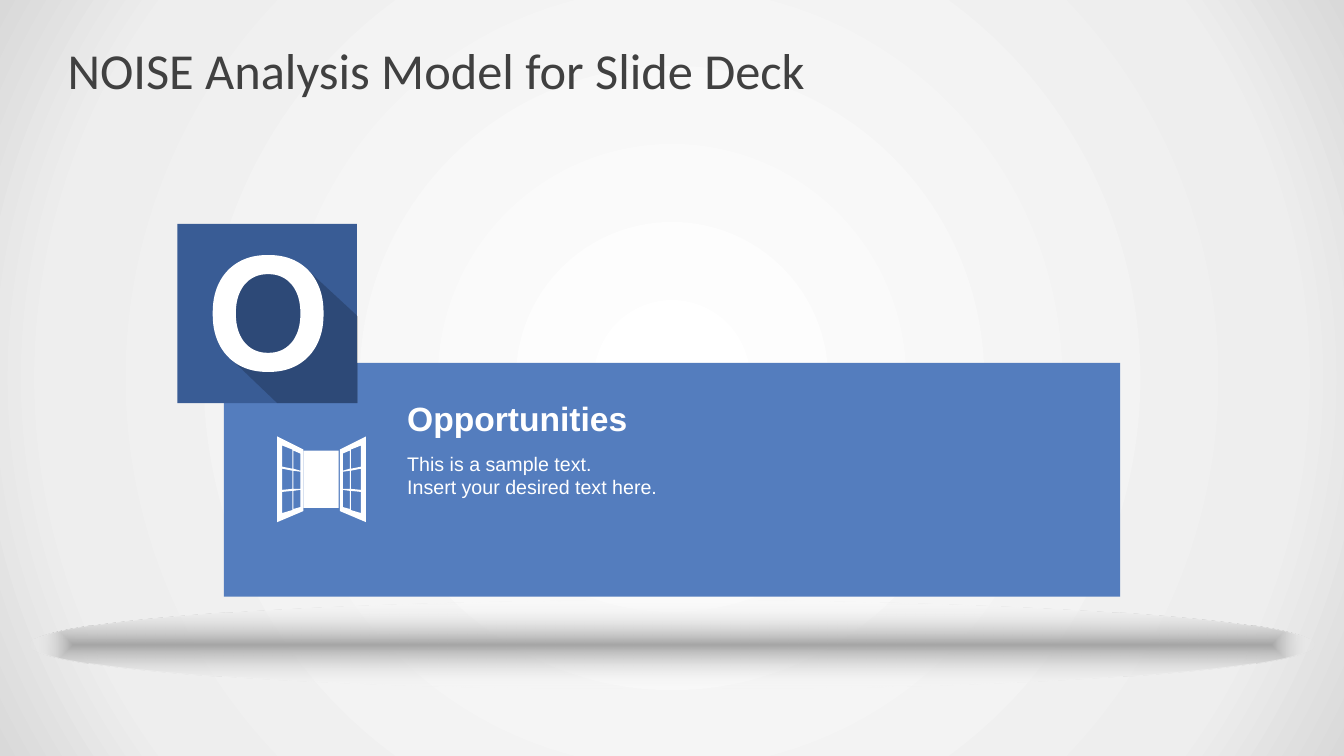
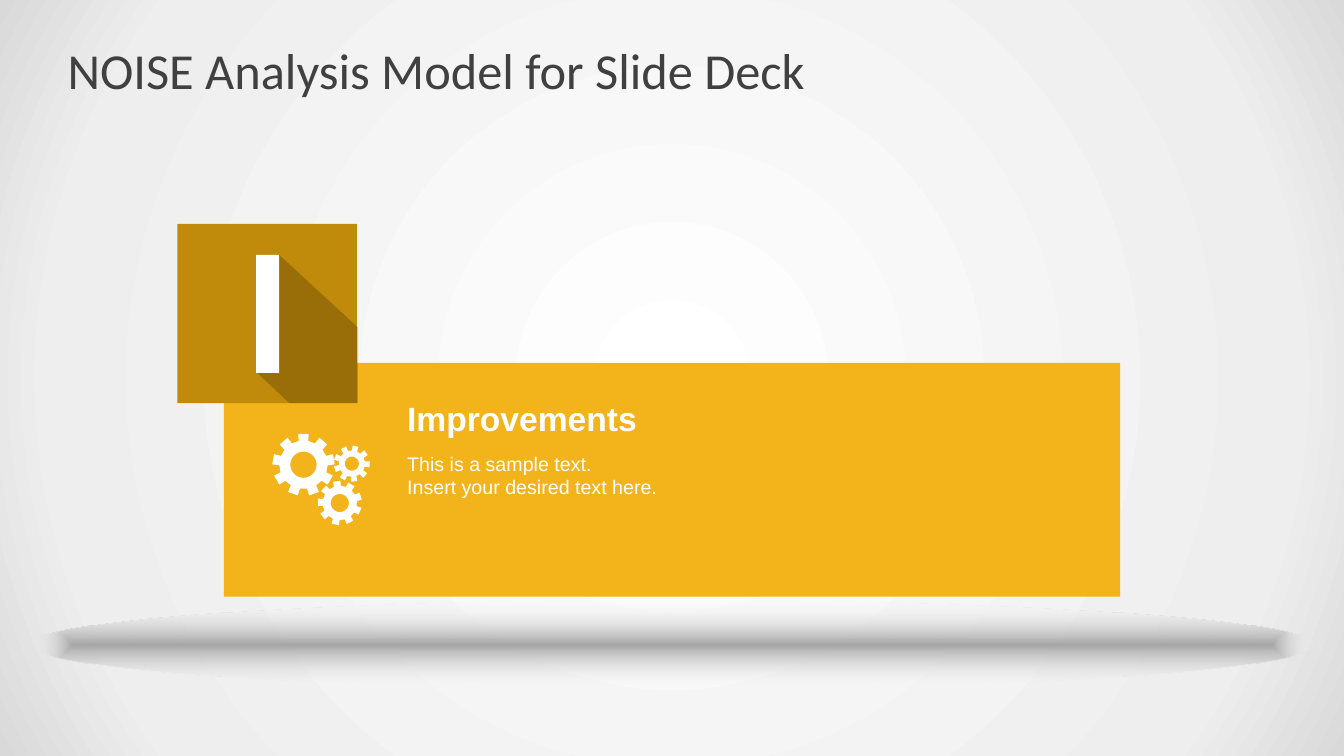
from math import cos, sin, radians, copysign

from lxml import etree
from pptx import Presentation, util as u
from pptx.dml.color import RGBColor
from pptx.enum import shapes as sh, text as tx
from pptx.oxml.ns import qn

WHITE, BLACK, GREY = "FFFFFF", "000000", "404040"
BACK = [(0, WHITE, 100), (81, "EEEEEE", 100), (100, "D9D9D9", 100)]
SHELF = [(0, "A6A6A6", 100), (100, WHITE, 0)]
TITLE = "NOISE Analysis Model for Slide Deck"
BODY = ["This is a sample text.", "Insert your desired text here."]
BAND = (2.22, 3.6, 8.89, 2.32)
TILE = 1.78

HEAD = {"name": "Calibri", "size": u.Pt(36)}
LABEL = {"name": "Arial", "size": u.Pt(24), "bold": True}
PLAIN = {"name": "Arial", "size": u.Pt(14)}

# Window panes: inner x, outer x, then rows of inner top, inner bottom, outer top, outer bottom
PANES = [
    (0.21, 0.28, [(-0.25, -0.08, -0.28, -0.1), (-0.07, 0.1, -0.08, 0.1), (0.11, 0.28, 0.12, 0.3)]),
    (0.29, 0.39, [(-0.29, -0.1, -0.33, -0.12), (-0.08, 0.1, -0.1, 0.11), (0.12, 0.31, 0.13, 0.34)]),
]
LEAF = [(0.18, -0.29), (0.44, -0.42), (0.44, 0.43), (0.18, 0.32)]
# Gears: centre x, centre y, tip radius, root radius, hole radius, turn in degrees
GEARS = [(-0.18, -0.14, 0.31, 0.24, 0.13, 0), (0.18, 0.24, 0.22, 0.17, 0.09, -8),
         (0.3, -0.15, 0.18, 0.13, 0.07, 12)]
SHADE_O = [(1.25, 0.42), (1.79, 0.92), (1.79, 1.78), (0.99, 1.78), (0.52, 1.33), (0.56, 1.28),
           (0.5, 0.77), (0.52, 0.62), (0.58, 0.49), (0.8, 0.46), (1.15, 0.46)]
SHADE_I = [(1.01, 0.31), (1.79, 1.03), (1.79, 1.78), (1.11, 1.78), (0.78, 1.47), (0.9, 1.21),
           (0.89, 0.61), (0.98, 0.32)]


def rgb(code):
    return RGBColor.from_string(code)


def box(*vals):
    return [u.Inches(v) for v in vals]


def style(font, form, color):
    for key, val in form.items():
        setattr(font, key, val)
    font.color.rgb = rgb(color)


def fade(clr, pct):
    etree.SubElement(clr, qn("a:alpha"), val=str(pct * 1000))


def radial(owner, stops, kind):
    """Turn the fill of a shape or master into a gradient from its centre."""
    target = owner.background if hasattr(owner, "background") else owner
    target.fill.gradient()
    grad = owner.element.find(".//" + qn("a:gradFill"))
    for part in list(grad):
        grad.remove(part)
    row = etree.SubElement(grad, qn("a:gsLst"))
    for pos, code, alpha in stops:
        stop = etree.SubElement(row, qn("a:gs"), pos=str(pos * 1000))
        clr = etree.SubElement(stop, qn("a:srgbClr"), val=code)
        if alpha < 100:
            fade(clr, alpha)
    track = etree.SubElement(grad, qn("a:path"), path=kind)
    etree.SubElement(track, qn("a:fillToRect"), **dict.fromkeys("ltrb", "50000"))


def paint(shape, color, alpha=100):
    shape.shadow.inherit = False
    shape.line.fill.background()
    shape.fill.solid()
    shape.fill.fore_color.rgb = rgb(color)
    if alpha < 100:
        fade(shape.element.find(".//" + qn("a:srgbClr")), alpha)


def block(host, at, color, kind=sh.MSO_SHAPE.RECTANGLE):
    shape = host.shapes.add_shape(kind, *box(*at))
    paint(shape, color)
    return shape


def outline(host, left, top, rings, color, alpha=100):
    """Draw closed rings as one shape; inner rings become holes."""
    rings = [[box(left + x, top + y) for x, y in ring] for ring in rings]
    pen = host.shapes.build_freeform(*rings[0][0], scale=1.0)
    for num, ring in enumerate(rings):
        if num:
            pen.move_to(*ring[0])
        pen.add_line_segments(ring[1:], close=True)
    paint(pen.convert_to_shape(), color, alpha)


def oval(x, y, wide, high, power=1.0):
    """Points of an ellipse; a power below one makes it squarer."""
    def bend(v):
        return copysign(abs(v) ** power, v)
    turns = [radians(a) for a in range(0, 360, 4)]
    return [(x + wide * bend(cos(t)), y + high * bend(sin(t))) for t in turns]


def gear(x, y, tip, root, hole, turn, teeth=9):
    edge = []
    for num in range(teeth):
        mid = turn - 90 + num * 360 / teeth
        for rad, step in ((root, -11.5), (tip, -9.5), (tip, 9.5), (root, 11.5)):
            ang = radians(mid + step)
            edge.append((x + rad * cos(ang), y + rad * sin(ang)))
    return [edge, oval(x, y, hole, hole)]


def gears(host, x, y):
    for item in GEARS:
        outline(host, x, y, gear(*item), WHITE)


def window(host, x, y):
    block(host, (x - 0.18, y - 0.28, 0.35, 0.57), WHITE)
    rings = [LEAF]
    for near, far, rows in PANES:
        rings += [[(near, a), (far, c), (far, d), (near, b)] for a, b, c, d in rows]
    for side in (1, -1):
        outline(host, x, y, [[(side * px, py) for px, py in ring] for ring in rings], WHITE)


def tile_o(host, x, y):
    outline(host, x, y, [SHADE_O], BLACK, 20)
    rings = [oval(0.9, 0.89, 0.55, 0.58, 0.9), oval(0.9, 0.89, 0.32, 0.39, 0.9)]
    outline(host, x, y, rings, WHITE)


def tile_i(host, x, y):
    outline(host, x, y, [SHADE_I], BLACK, 20)
    block(host, (x + 0.78, y + 0.31, 0.23, 1.17), WHITE)


def write(slide, at, lines, form):
    frame = slide.shapes.add_textbox(*box(*at)).text_frame
    frame.word_wrap = True
    frame.auto_size = tx.MSO_AUTO_SIZE.SHAPE_TO_FIT_TEXT
    for num, line in enumerate(lines):
        para = frame.add_paragraph() if num else frame.paragraphs[0]
        para.text = line
        style(para.font, form, WHITE)


def title(slide):
    head = slide.shapes.title
    head.left, head.top, head.width, head.height = box(0.67, 0.3, 12, 0.78)
    frame = head.text_frame
    frame.text = TITLE
    form = {"margin_left": 0, "margin_right": 0, "margin_top": u.Inches(0.07),
            "margin_bottom": u.Inches(0.07), "word_wrap": True,
            "auto_size": tx.MSO_AUTO_SIZE.NONE, "vertical_anchor": tx.MSO_ANCHOR.MIDDLE}
    for key, val in form.items():
        setattr(frame, key, val)
    para = frame.paragraphs[0]
    para.alignment = tx.PP_ALIGN.LEFT
    style(para.font, HEAD, GREY)


def card(slide, at, name, color, dark, icon, letter):
    left, top, wide, high = at
    block(slide, at, color)
    shelf = block(slide, (0.29, top + high + 0.04, 12.75, 0.87), WHITE, sh.MSO_SHAPE.OVAL)
    radial(shelf, SHELF, "shape")
    icon(slide.shapes.add_group_shape(), left + 0.97, top + 1.15)
    tile = slide.shapes.add_group_shape()
    x, y = left - 0.46, top - 1.38
    block(tile, (x, y, TILE, TILE), dark)
    letter(tile, x, y)
    write(slide, (left + 1.72, top + 0.3, 6.64, 0.5), [name], LABEL)
    write(slide, (left + 1.72, top + 0.83, 6.64, 0.57), BODY, PLAIN)


def main():
    prs = Presentation()
    prs.slide_width, prs.slide_height = box(13.33, 7.5)
    radial(prs.slide_master, BACK, "circle")
    for item in (("Opportunities", "547DBE", "395C95", window, tile_o),
                 ("Improvements", "F3B31A", "C08A0A", gears, tile_i)):
        slide = prs.slides.add_slide(prs.slide_layouts[5])
        title(slide)
        card(slide, BAND, *item)
    prs.save("out.pptx")


if __name__ == "__main__":
    main()
